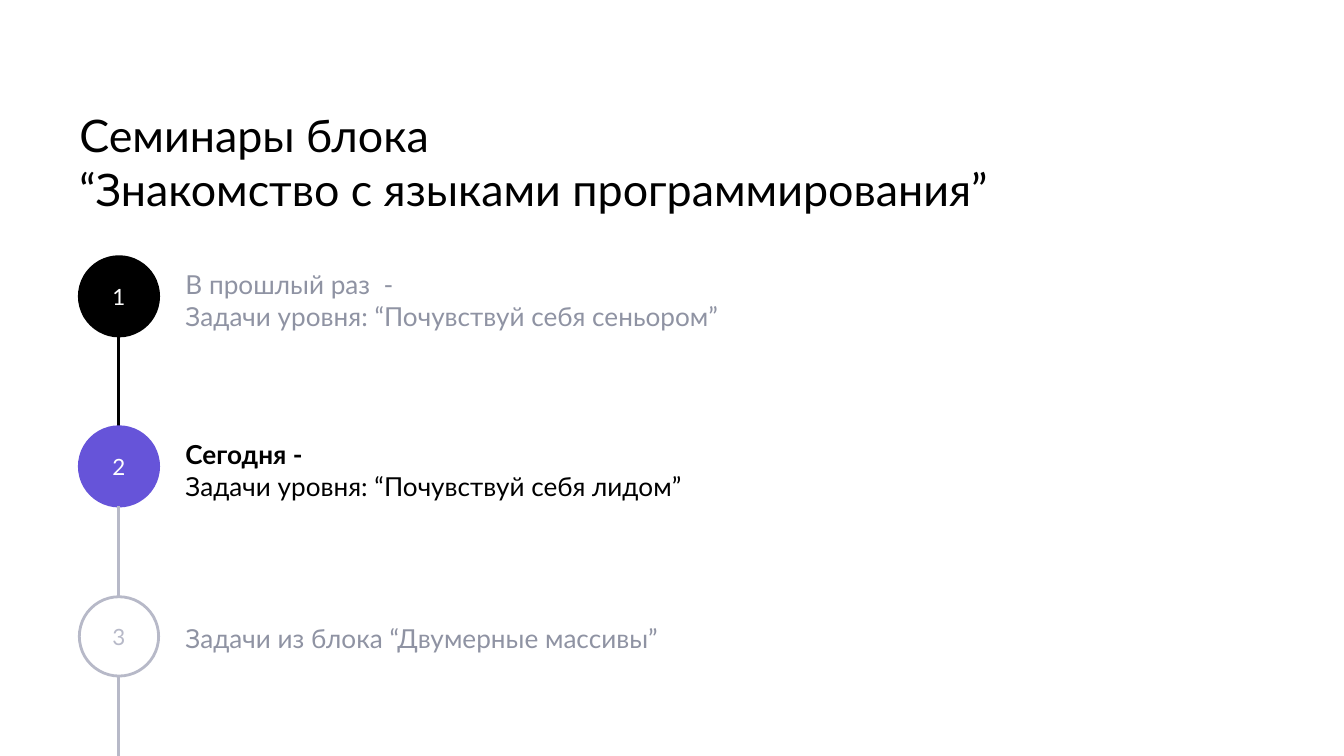
import dataclasses

import pptx
import pptx.dml.color
import pptx.enum.shapes
import pptx.enum.text
import pptx.oxml
import pptx.oxml.ns
import pptx.util

Inches = pptx.util.Inches
Pt = pptx.util.Pt
ALIGN = pptx.enum.text.PP_ALIGN
ANCHOR = pptx.enum.text.MSO_ANCHOR


@dataclasses.dataclass(frozen=True)
class Theme:
    font: str = "Lato"
    title_size: int = 24
    label_size: int = 14
    number_size: int = 12
    line_width: float = 1.5
    black: str = "000000"
    white: str = "FFFFFF"
    accent: str = "6654D9"
    muted: str = "8F93A3"
    pale: str = "B7B9C8"


THEME = Theme()
SLIDE_WIDTH = 10
SLIDE_HEIGHT = SLIDE_WIDTH * 9 / 16

STEPS = [
    dict(lines=["В прошлый раз  -", "Задачи уровня: “Почувствуй себя сеньором”"],
         width=5.79, color=THEME.muted, bold_first=False,
         fill=THEME.black, line=THEME.black, number=THEME.white, link=THEME.black),
    dict(lines=["Сегодня -", "Задачи уровня: “Почувствуй себя лидом”"],
         width=4.86, color=THEME.black, bold_first=True,
         fill=THEME.accent, line=THEME.accent, number=THEME.white, link=THEME.pale),
    dict(lines=["Задачи из блока “Двумерные массивы”"],
         width=4.93, color=THEME.muted, bold_first=False,
         fill=THEME.white, line=THEME.pale, number=THEME.pale, link=THEME.pale),
]


def rgb(value):
    return pptx.dml.color.RGBColor.from_string(value)


def set_attrs(obj, values):
    for name, value in values.items():
        setattr(obj, name, value)


def place(sp, left, top, width, height):
    set_attrs(sp, dict(left=Inches(left), top=Inches(top),
                       width=Inches(width), height=Inches(height)))


def write(tf, lines, size, color, insets, anchor=ANCHOR.TOP,
          align=ALIGN.LEFT, bold_first=False):
    left, top, right, bottom = (Inches(v) for v in insets)
    set_attrs(tf, dict(word_wrap=True, auto_size=pptx.enum.text.MSO_AUTO_SIZE.NONE,
                       vertical_anchor=anchor, margin_left=left, margin_top=top,
                       margin_right=right, margin_bottom=bottom))
    for i, line in enumerate(lines):
        p = tf.paragraphs[0] if i == 0 else tf.add_paragraph()
        p.alignment = align
        r = p.add_run()
        r.text = line
        set_attrs(r.font, dict(name=THEME.font, size=Pt(size),
                               bold=bold_first and i == 0))
        r.font.color.rgb = rgb(color)


def set_line(line, color):
    line.color.rgb = rgb(color)
    line.width = Pt(THEME.line_width)


def add_title(s, left, top, width, height):
    sp = s.shapes.title
    place(sp, left, top, width, height)
    write(sp.text_frame, ["Семинары блока", "“Знакомство с языками программирования”"],
          THEME.title_size, THEME.black, (0, 0.01, 0, 0))


def add_link(s, x, top, bottom, color):
    sp = s.shapes.add_connector(pptx.enum.shapes.MSO_CONNECTOR.STRAIGHT,
                                Inches(x), Inches(top), Inches(x), Inches(bottom))
    set_line(sp.line, color)
    sp._element.spPr.append(pptx.oxml.parse_xml(
        f"<a:effectLst {pptx.oxml.ns.nsdecls('a')}/>"))


def add_marker(s, left, top, size, number, step):
    sp = s.shapes.add_shape(pptx.enum.shapes.MSO_SHAPE.OVAL, Inches(left),
                            Inches(top), Inches(size), Inches(size))
    sp.shadow.inherit = False
    sp.fill.solid()
    sp.fill.fore_color.rgb = rgb(step["fill"])
    set_line(sp.line, step["line"])
    write(sp.text_frame, [str(number)], THEME.number_size, step["number"],
          (0.1,) * 4, ANCHOR.MIDDLE, ALIGN.CENTER)


def add_label(s, left, middle, step):
    height = 0.21 + 0.2 * len(step["lines"])
    sp = s.shapes.add_textbox(Inches(left), Inches(middle - height / 2),
                              Inches(step["width"]), Inches(height))
    write(sp.text_frame, step["lines"], THEME.label_size, step["color"],
          (0, 0.1, 0.1, 0.1), bold_first=step["bold_first"])


def add_timeline(s, left, top, bottom, steps):
    size, label_offset, pitch = 0.59, 0.79, 2.53 / 2
    for i, step in enumerate(steps):
        y = top + i * pitch
        add_marker(s, left, y, size, i + 1, step)
        add_label(s, left + label_offset, y + size / 2, step)
        add_link(s, left + size / 2, y + size, min(y + pitch, bottom), step["link"])


def main():
    prs = pptx.Presentation()
    set_attrs(prs, dict(slide_width=Inches(SLIDE_WIDTH),
                        slide_height=Inches(SLIDE_HEIGHT)))
    s = prs.slides.add_slide(prs.slide_layouts.get_by_name("Title Only"))
    add_title(s, 0.59, 0.79, 8.82, 0.35)
    add_timeline(s, 0.59, 1.91, SLIDE_HEIGHT, STEPS)
    prs.save("out.pptx")


if __name__ == "__main__":
    main()
